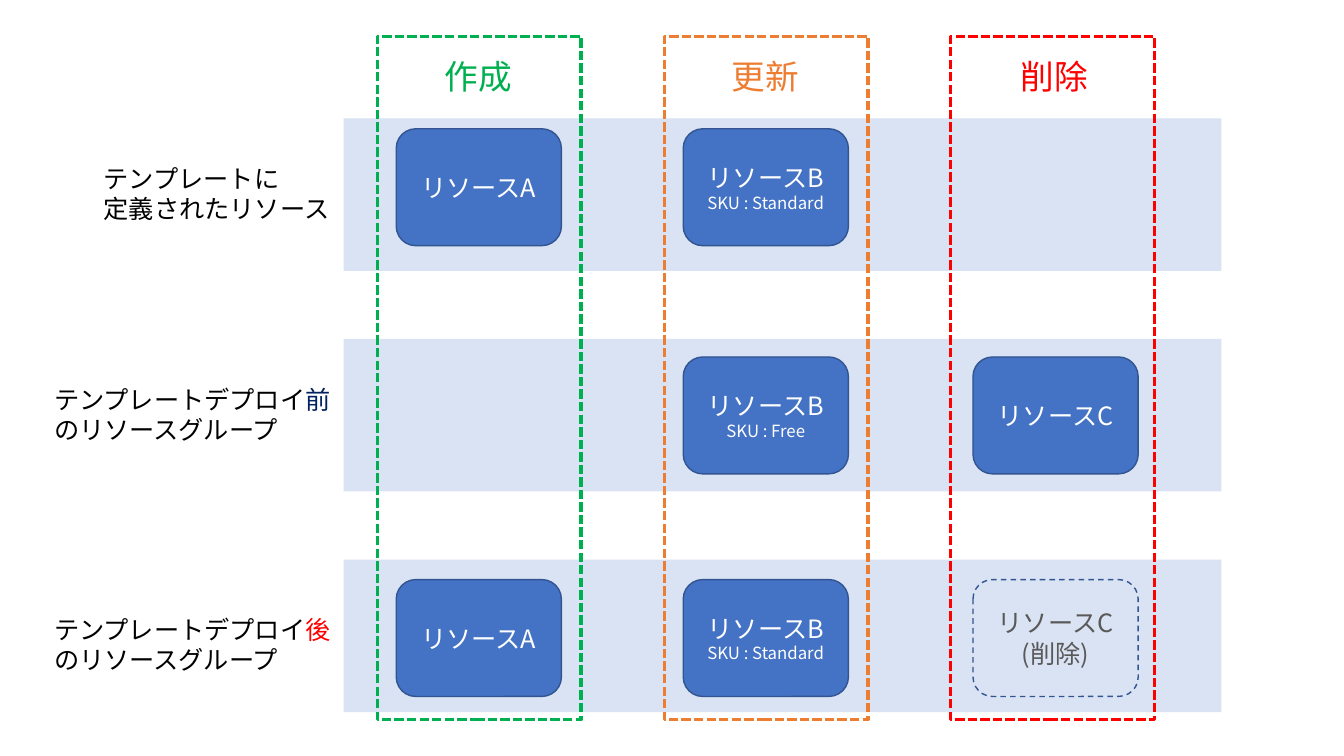
from dataclasses import dataclass

from lxml import etree
from pptx import Presentation
from pptx.dml.color import RGBColor
from pptx.enum.dml import MSO_LINE
from pptx.enum.shapes import MSO_SHAPE
from pptx.enum.text import MSO_ANCHOR, MSO_AUTO_SIZE, PP_ALIGN
from pptx.oxml.ns import qn
from pptx.util import Pt

RECT, ROUND = MSO_SHAPE.RECTANGLE, MSO_SHAPE.ROUNDED_RECTANGLE
DASH, SYS_DASH = MSO_LINE.DASH, MSO_LINE.SQUARE_DOT
LEFT, CENTER = PP_ALIGN.LEFT, PP_ALIGN.CENTER
MIDDLE, GROW = MSO_ANCHOR.MIDDLE, MSO_AUTO_SIZE.SHAPE_TO_FIT_TEXT

FONT = "Noto Sans CJK JP"
BLACK = RGBColor(0x00, 0x00, 0x00)
WHITE = RGBColor(0xFF, 0xFF, 0xFF)
GRAY = RGBColor(0x59, 0x59, 0x59)
PALE_BLUE = RGBColor(0xDA, 0xE3, 0xF3)
BLUE = RGBColor(0x44, 0x72, 0xC4)
DARK_BLUE = RGBColor(0x32, 0x54, 0x91)
NAVY = RGBColor(0x00, 0x20, 0x60)
GREEN = RGBColor(0x00, 0xB0, 0x50)
ORANGE = RGBColor(0xED, 0x7D, 0x31)
RED = RGBColor(0xFF, 0x00, 0x00)

# Lengths in points
BAND_LEFT, BAND_TOP, BAND_STEP = 245.5, 84.5, 157.6
BAND_W, BAND_H = 627, 109
FRAME_TOP, FRAME_W, FRAME_H = 26, 145.5, 488
BOX_W, BOX_H = 118, 83.5
TITLE_TOP, TITLE_W, TITLE_H = 36.5, 63.5, 36
LABEL_H = 51


@dataclass
class Run:
    text: str
    color: RGBColor
    size: float = 18


@dataclass
class Action:
    title: str
    color: RGBColor
    frame_left: float
    box_left: float
    title_left: float


@dataclass
class Stage:
    label: list[list[Run]]
    label_left: float
    label_top: float
    label_w: float
    box_top: float


@dataclass
class Resource:
    action: int
    stage: int
    name: str
    detail: str = ""
    deleted: bool = False


def deploy_label(word: str, color: RGBColor) -> list[list[Run]]:
    return [[Run("テンプレートデプロイ", BLACK), Run(word, color)],
            [Run("のリソースグループ", BLACK)]]


ACTIONS = [
    Action("作成", GREEN, 269.5, 283, 310.5),
    Action("更新", ORANGE, 474.5, 488, 515.5),
    Action("削除", RED, 679, 695, 722),
]
STAGES = [
    Stage([[Run("テンプレートに", BLACK)], [Run("定義されたリソース", BLACK)]],
          67, 113, 178, 92),
    Stage(deploy_label("前", NAVY), 31.5, 270.7, 214.5, 255),
    Stage(deploy_label("後", RED), 31.5, 435, 214.5, 414),
]
RESOURCES = [
    Resource(0, 0, "リソースA"),
    Resource(1, 0, "リソースB", "SKU : Standard"),
    Resource(1, 1, "リソースB", "SKU : Free"),
    Resource(2, 1, "リソースC"),
    Resource(0, 2, "リソースA"),
    Resource(1, 2, "リソースB", "SKU : Standard"),
    Resource(2, 2, "リソースC", "(削除)", deleted=True),
]

prs = Presentation()
prs.slide_width, prs.slide_height = Pt(960), Pt(540)
slide = prs.slides.add_slide(prs.slide_layouts[6])


def write_text(tf, lines: list[list[Run]], *, align=LEFT) -> None:
    for i, line in enumerate(lines):
        p = tf.paragraphs[0] if i == 0 else tf.add_paragraph()
        p.alignment = align
        for run in line:
            r = p.add_run()
            r.text = run.text
            r.font.size = Pt(run.size)
            r.font.color.rgb = run.color
            r.font.name = FONT
            ea = etree.SubElement(r.font._element, qn("a:ea"))
            ea.set("typeface", FONT)


def add_label(left: float, top: float, width: float, height: float,
              lines: list[list[Run]]) -> None:
    s = slide.shapes.add_textbox(Pt(left), Pt(top), Pt(width), Pt(height))
    tf = s.text_frame
    tf.word_wrap = False
    tf.auto_size = GROW
    write_text(tf, lines)


def add_block(kind, left: float, top: float, width: float, height: float, *,
              fill=None, line=None, weight: float = 1, dash=None):
    s = slide.shapes.add_shape(kind, Pt(left), Pt(top), Pt(width), Pt(height))
    s.shadow.inherit = False
    if fill is None:
        s.fill.background()
    else:
        s.fill.solid()
        s.fill.fore_color.rgb = fill
    if line is None:
        s.line.fill.background()
    else:
        s.line.color.rgb = line
        s.line.width = Pt(weight)
        if dash is not None:
            s.line.dash_style = dash
    return s


def add_resource(res: Resource) -> None:
    s = add_block(ROUND, ACTIONS[res.action].box_left, STAGES[res.stage].box_top,
                  BOX_W, BOX_H, fill=PALE_BLUE if res.deleted else BLUE,
                  line=DARK_BLUE, dash=DASH if res.deleted else None)
    color = GRAY if res.deleted else WHITE
    lines = [[Run(res.name, color)]]
    if res.detail:
        lines.append([Run(res.detail, color, 18 if res.deleted else 12)])
    s.text_frame.vertical_anchor = MIDDLE
    write_text(s.text_frame, lines, align=CENTER)


# Stage bands with their labels
for i, stage in enumerate(STAGES):
    add_block(RECT, BAND_LEFT, BAND_TOP + i * BAND_STEP, BAND_W, BAND_H,
              fill=PALE_BLUE)
    add_label(stage.label_left, stage.label_top, stage.label_w, LABEL_H,
              stage.label)

# Resource boxes
for resource in RESOURCES:
    add_resource(resource)

# Dashed action frames with their titles
for action in ACTIONS:
    add_block(RECT, action.frame_left, FRAME_TOP, FRAME_W, FRAME_H,
              line=action.color, weight=2.25, dash=SYS_DASH)
    add_label(action.title_left, TITLE_TOP, TITLE_W, TITLE_H,
              [[Run(action.title, action.color, 24)]])

prs.save("out.pptx")
